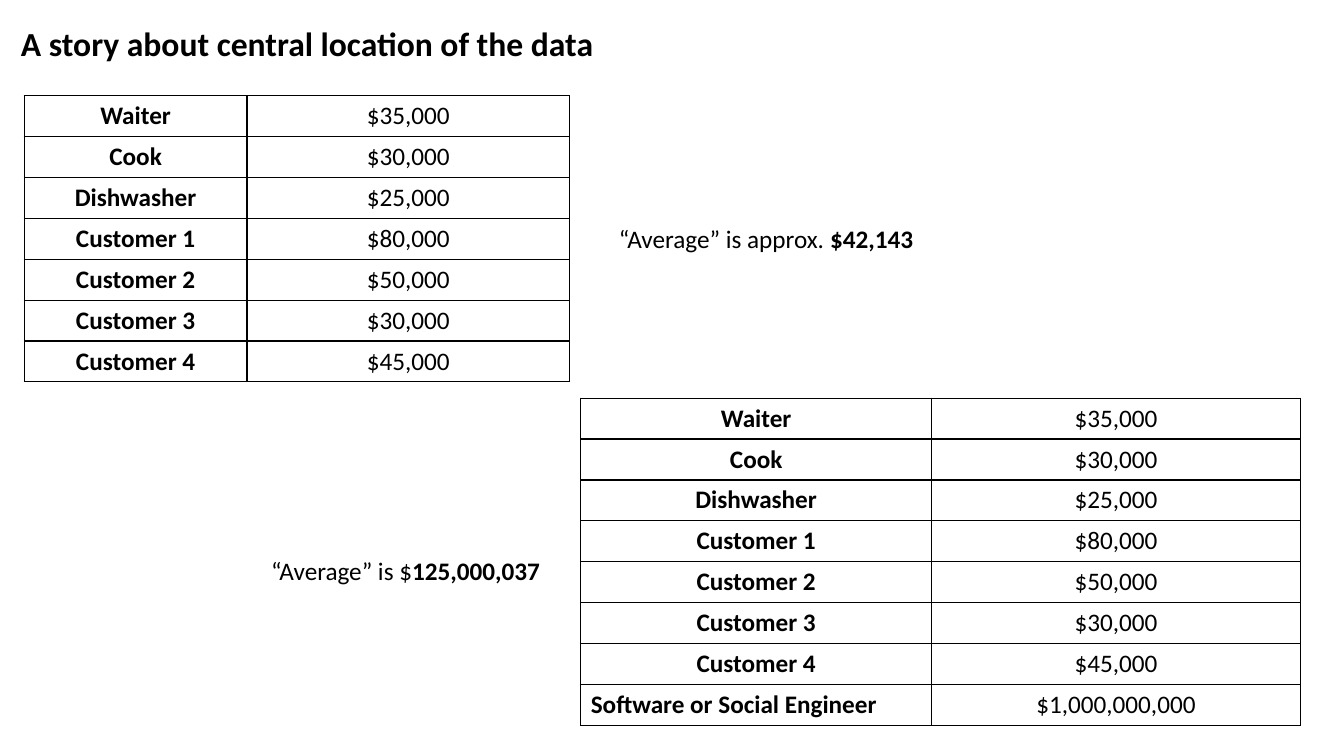
"""Build a slide on how one outlier moves the average income."""
from dataclasses import dataclass

from lxml import etree
from pptx import Presentation, util as u
from pptx.dml.color import RGBColor
from pptx.enum import text
from pptx.oxml.ns import qn


@dataclass(frozen=True)
class Theme:
    font: str = "Calibri"
    ink: str = "000000"
    title: int = 24
    body: int = 18
    rule: int = 1


THEME = Theme()
WIDE, HIGH = 13.33, 7.5
ROW = 2.84 / 7

STAFF = [
    ("Waiter", "$35,000"),
    ("Cook", "$30,000"),
    ("Dishwasher", "$25,000"),
    ("Customer 1", "$80,000"),
    ("Customer 2", "$50,000"),
    ("Customer 3", "$30,000"),
    ("Customer 4", "$45,000"),
]
GUEST = ("Software or Social Engineer", "$1,000,000,000")
TABLES = [
    (STAFF, (0.24, 0.95), (2.21, 3.2)),
    (STAFF + [GUEST], (5.76, 3.95), (3.48, 3.66)),
]
TITLE = ("", "A story about central location of the data")
NOTES = [
    (TITLE, (0.11, 0.18, 7.04, 0.5), THEME.title, True),
    (("“Average” is approx. ", "$42,143"), (6.04, 2.17, 3.28, 0.4), THEME.body, False),
    (("“Average” is $", "125,000,037"), (2.59, 5.46, 3.02, 0.4), THEME.body, False),
]


def style(font, size):
    font.name = THEME.font
    font.size = u.Pt(size)
    font.color.rgb = RGBColor.from_string(THEME.ink)


def border(cell):
    props = cell._tc.get_or_add_tcPr()
    for spot, side in enumerate(("a:lnL", "a:lnR", "a:lnT", "a:lnB")):
        line = etree.Element(qn(side), w=str(u.Pt(THEME.rule)))
        fill = etree.SubElement(line, qn("a:solidFill"))
        etree.SubElement(fill, qn("a:srgbClr"), val=THEME.ink)
        props.insert(spot, line)


def add_grid(slide, rows, spot, widths):
    size = sum(widths), ROW * len(rows)
    frame = slide.shapes.add_table(
        len(rows), len(widths), *map(u.Inches, spot + size))
    table = frame.table
    table.first_row = table.horz_banding = False
    for col, width in zip(table.columns, widths):
        col.width = u.Inches(width)
    for r, row in enumerate(rows):
        table.rows[r].height = u.Inches(ROW)
        for c, label in enumerate(row):
            cell = table.cell(r, c)
            cell.text = label
            cell.fill.background()
            border(cell)
            para = cell.text_frame.paragraphs[0]
            left = label == GUEST[0]
            para.alignment = text.PP_ALIGN.LEFT if left else text.PP_ALIGN.CENTER
            style(para.font, THEME.body)
            para.font.bold = c == 0


def add_note(slide, words, box, size, wrap):
    frame = slide.shapes.add_textbox(*map(u.Inches, box)).text_frame
    frame.word_wrap = wrap
    frame.auto_size = text.MSO_AUTO_SIZE.SHAPE_TO_FIT_TEXT
    para = frame.paragraphs[0]
    style(para.font, size)
    for bold, words_part in enumerate(words):
        if words_part:
            run = para.add_run()
            run.text = words_part
            run.font.bold = bool(bold)


def main():
    deck = Presentation()
    deck.slide_width, deck.slide_height = u.Inches(WIDE), u.Inches(HIGH)
    slide = deck.slides.add_slide(deck.slide_layouts[6])
    for grid in TABLES:
        add_grid(slide, *grid)
    for note in NOTES:
        add_note(slide, *note)
    deck.save("out.pptx")


if __name__ == "__main__":
    main()
